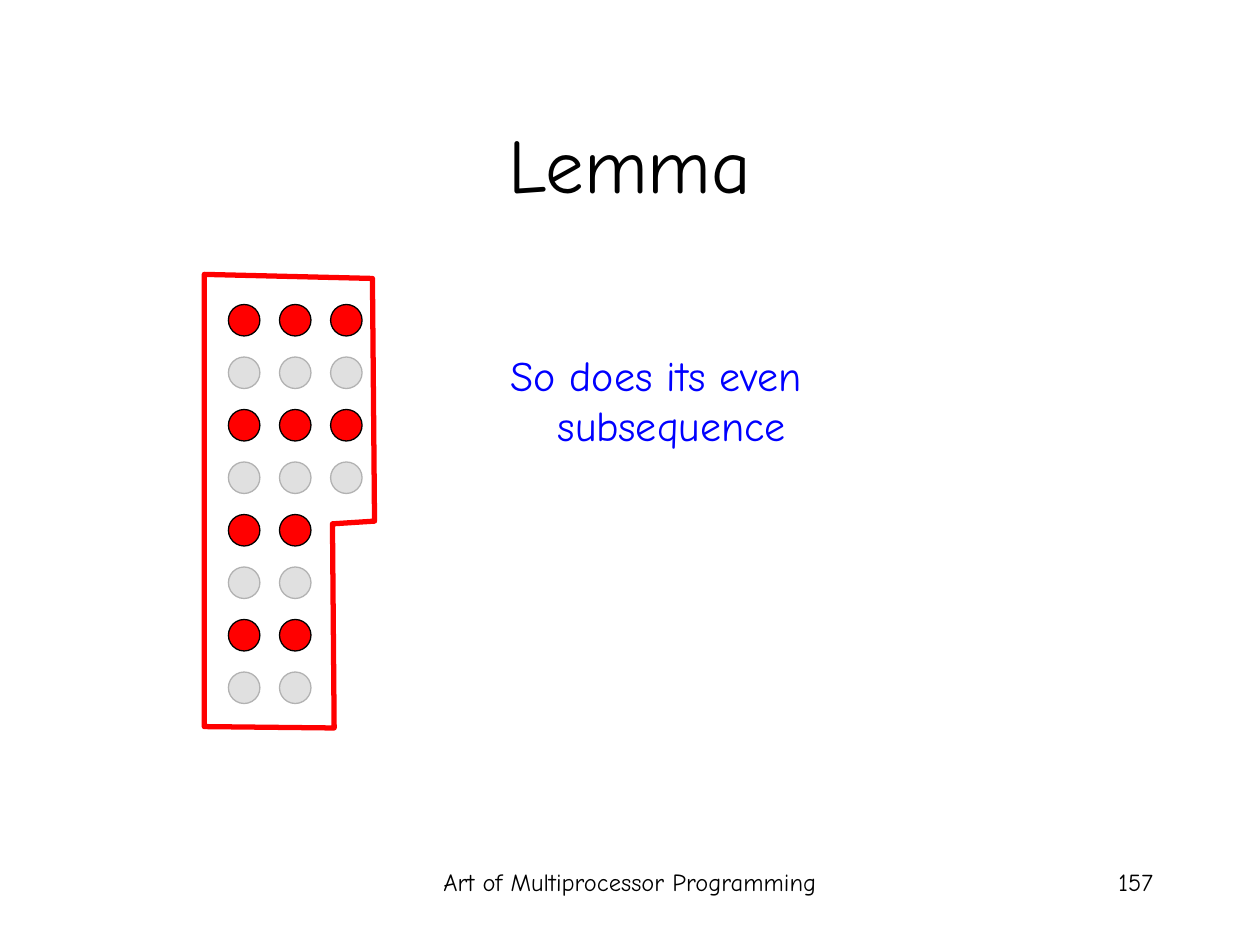
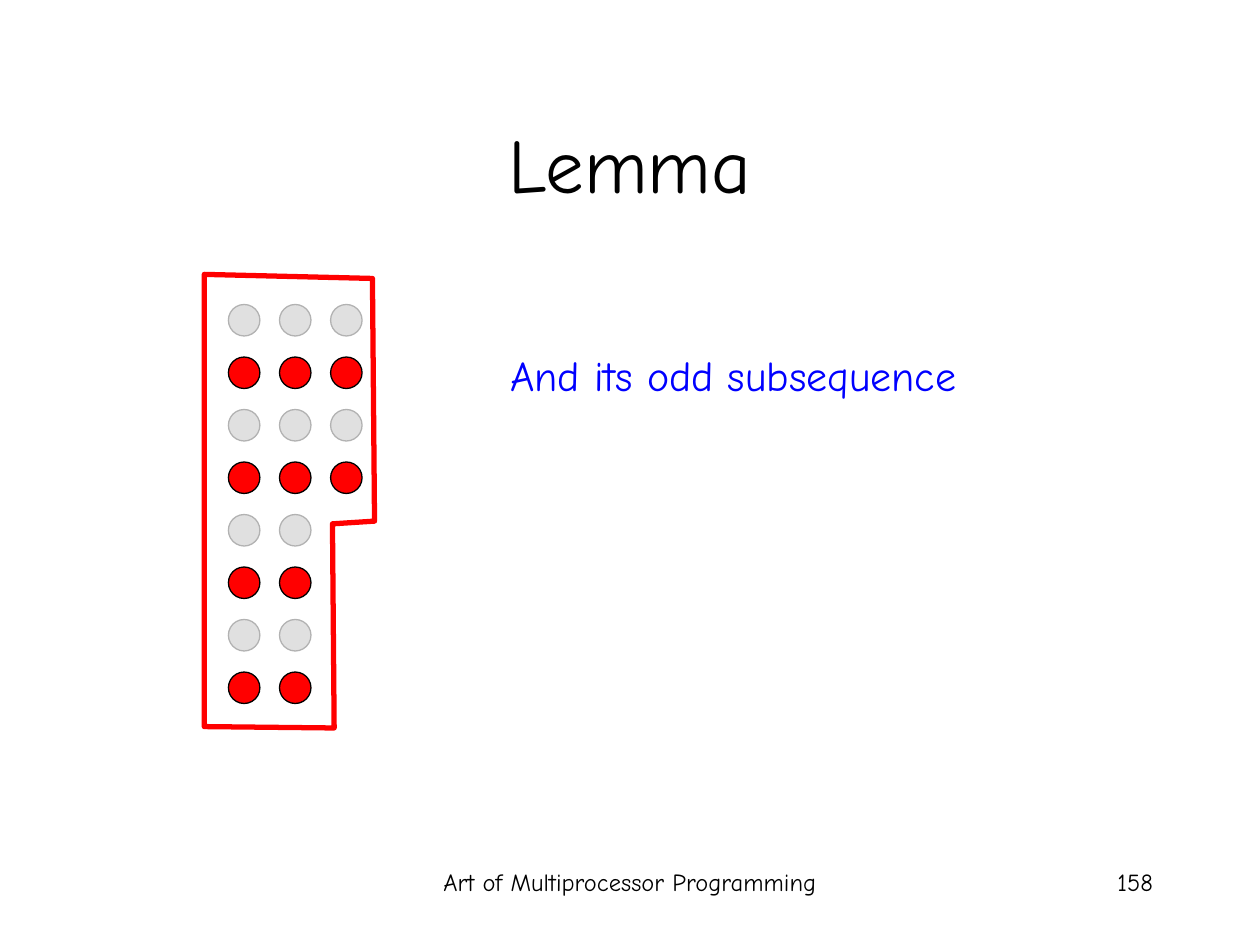
"""Build two slides that highlight alternating rows of a dot sequence."""

from lxml import etree
from pptx import Presentation
from pptx.dml.color import RGBColor
from pptx.enum.shapes import MSO_SHAPE
from pptx.enum.text import MSO_ANCHOR, MSO_AUTO_SIZE, PP_ALIGN
from pptx.oxml.ns import qn
from pptx.util import Pt

OVAL = MSO_SHAPE.OVAL
LEFT, CENTER, RIGHT = PP_ALIGN.LEFT, PP_ALIGN.CENTER, PP_ALIGN.RIGHT
TOP, MIDDLE = MSO_ANCHOR.TOP, MSO_ANCHOR.MIDDLE
GROW, FIXED = MSO_AUTO_SIZE.SHAPE_TO_FIT_TEXT, MSO_AUTO_SIZE.NONE

BLACK = RGBColor(0x00, 0x00, 0x00)
RED = RGBColor(0xFF, 0x00, 0x00)
BLUE = RGBColor(0x00, 0x00, 0xFF)
GRAY = RGBColor(0xB2, 0xB2, 0xB2)

FONT = "Comic Neue"
BLANK_LAYOUT = 6
TITLE_BOX = (54, 48, 612, 90)
CLAIM_LEFT, CLAIM_TOP, CLAIM_WIDTH = 284.5, 196, 283
SEQUENCE_BOX = (116.7, 156.8, 97.3, 259.2)
FOOTER_BOX = (246, 492, 228, 36)
NUMBER_BOX = (516, 492, 150, 36)

OUTLINE = [(0, 0), (0, 0.997), (0.763, 1), (0.753, 0.55), (1, 0.544), (0.988, 0.009)]
COLUMN_LENGTHS = (8, 8, 4)
DOT_SIZE = 18
DOT_OFFSET_X, DOT_OFFSET_Y = 13.8, 17.2
COLUMN_PITCH, ROW_PITCH = 29.2, 30

SLIDES = [
    {"claim": "So does its even subsequence", "claim_height": 65, "first_red_row": 0, "number": 157},
    {"claim": "And its odd subsequence", "claim_height": 36, "first_red_row": 1, "number": 158},
]


def add_text(slide, box, text, size, color=BLACK, alignment=CENTER, anchor=TOP, auto_size=FIXED):
    """Add one paragraph of text in the given box and return the paragraph."""
    shape = slide.shapes.add_textbox(*map(Pt, box))
    frame = shape.text_frame
    frame_format = {"word_wrap": True, "auto_size": auto_size, "vertical_anchor": anchor}
    for name, value in frame_format.items():
        setattr(frame, name, value)
    paragraph = frame.paragraphs[0]
    paragraph.alignment = alignment
    run = paragraph.add_run()
    run.text = text
    for name, value in {"name": FONT, "size": Pt(size)}.items():
        setattr(run.font, name, value)
    run.font.color.rgb = color
    return paragraph


def add_claim(slide, box, text):
    """Add the blue statement with its hanging indent."""
    paragraph = add_text(slide, box, text, 24, BLUE, LEFT, auto_size=GROW)
    paragraph.space_before = Pt(6)
    properties = paragraph._p.get_or_add_pPr()
    for name, value in {"marL": Pt(27), "indent": Pt(-27)}.items():
        properties.set(name, str(value))


def add_dot(slide, left, top, is_red):
    """Add a solid red dot or a faded gray one."""
    dot = slide.shapes.add_shape(OVAL, Pt(left), Pt(top), Pt(DOT_SIZE), Pt(DOT_SIZE))
    dot.shadow.inherit = False
    dot.fill.solid()
    dot.fill.fore_color.rgb = RED if is_red else GRAY
    dot.line.color.rgb = BLACK if is_red else GRAY
    dot.line.width = Pt(0.75)
    if not is_red:
        color = dot._element.spPr.find(qn("a:solidFill")).find(qn("a:srgbClr"))
        etree.SubElement(color, qn("a:alpha")).set("val", "40000")


def add_outline(slide, box):
    """Draw the red stepped border that fills the box."""
    left, top, width, height = box
    points = [(Pt(left + x * width), Pt(top + y * height)) for x, y in OUTLINE]
    builder = slide.shapes.build_freeform(*points[0])
    builder.add_line_segments(points[1:], close=True)
    border = builder.convert_to_shape()
    border.shadow.inherit = False
    border.fill.background()
    border.line.color.rgb = RED
    border.line.width = Pt(3)
    etree.SubElement(border.line._get_or_add_ln(), qn("a:round"))


def add_sequence(slide, box, first_red_row):
    """Place the columns of dots with alternating red rows inside the border."""
    left, top = box[:2]
    for column, length in enumerate(COLUMN_LENGTHS):
        for row in range(length):
            add_dot(
                slide,
                left + DOT_OFFSET_X + column * COLUMN_PITCH,
                top + DOT_OFFSET_Y + row * ROW_PITCH,
                row % 2 == first_red_row,
            )
    add_outline(slide, box)


def add_footer(slide, number):
    """Add the book title and the slide number."""
    add_text(slide, FOOTER_BOX, "Art of Multiprocessor Programming", 14)
    add_text(slide, NUMBER_BOX, str(number), 14, alignment=RIGHT)


def add_lemma_slide(presentation, claim, claim_height, first_red_row, number):
    """Add one slide of the lemma."""
    slide = presentation.slides.add_slide(presentation.slide_layouts[BLANK_LAYOUT])
    add_text(slide, TITLE_BOX, "Lemma", 44, anchor=MIDDLE)
    add_claim(slide, (CLAIM_LEFT, CLAIM_TOP, CLAIM_WIDTH, claim_height), claim)
    add_sequence(slide, SEQUENCE_BOX, first_red_row)
    add_footer(slide, number)


def main():
    """Build and save the presentation."""
    presentation = Presentation()
    presentation.slide_width, presentation.slide_height = Pt(720), Pt(540)
    for content in SLIDES:
        add_lemma_slide(presentation, **content)
    presentation.save("out.pptx")


if __name__ == "__main__":
    main()
